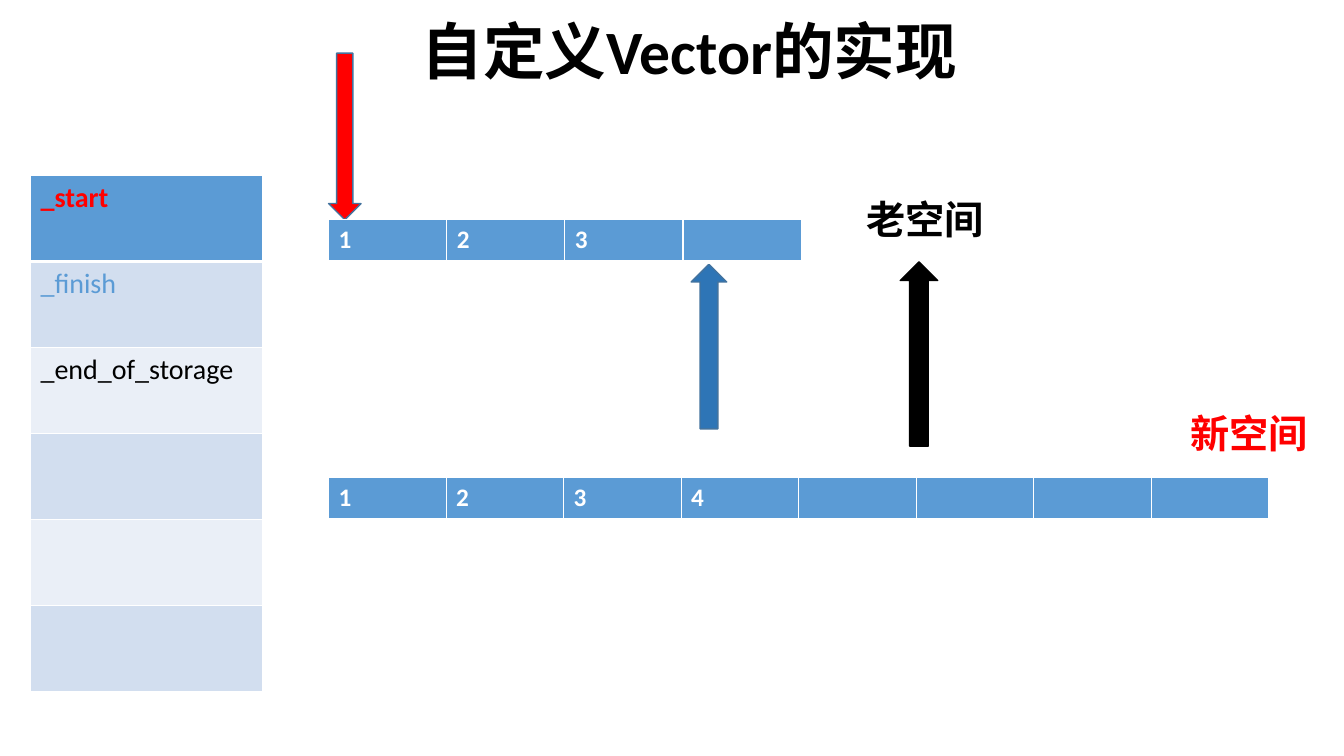
from dataclasses import dataclass

from lxml import etree
from pptx import Presentation
from pptx.dml.color import RGBColor
from pptx.enum import shapes, text
from pptx.oxml import ns
from pptx.util import Pt

WHITE = RGBColor(0xFF, 0xFF, 0xFF)
BLACK = RGBColor(0x00, 0x00, 0x00)
RED = RGBColor(0xFF, 0x00, 0x00)
BLUE = RGBColor(0x5B, 0x9B, 0xD5)
DARK_BLUE = RGBColor(0x2E, 0x75, 0xB6)
OUTLINE_BLUE = RGBColor(0x43, 0x73, 0x9E)
BAND_DARK = RGBColor(0xD2, 0xDE, 0xEF)
BAND_LIGHT = RGBColor(0xEA, 0xEF, 0xF7)


@dataclass
class Area:
    left: float
    top: float
    width: float
    height: float

    def lengths(self) -> list:
        return [Pt(n) for n in (self.left, self.top, self.width, self.height)]


@dataclass
class CellLook:
    label: str
    color: RGBColor
    fill: RGBColor
    bold: bool


@dataclass
class Arrow:
    area: Area
    preset: shapes.MSO_SHAPE
    fill: RGBColor
    outline: RGBColor


@dataclass
class Caption:
    area: Area
    label: str
    color: RGBColor


def format_run(para, size: float, color: RGBColor, bold: bool) -> None:
    for span in para.runs:
        span.font.name = "Calibri"
        span.font.size = Pt(size)
        span.font.bold = bold
        span.font.color.rgb = color


def add_borders(cell, is_header: bool) -> None:
    widths = {"lnL": 1, "lnR": 1}
    if is_header:
        widths["lnT"] = 1
    widths["lnB"] = 3 if is_header else 1
    properties = cell._tc.get_or_add_tcPr()
    for index, (side, width) in enumerate(widths.items()):
        line = etree.Element(ns.qn(f"a:{side}"), w=str(Pt(width)))
        fill = etree.SubElement(line, ns.qn("a:solidFill"))
        etree.SubElement(fill, ns.qn("a:srgbClr"), val=str(WHITE))
        properties.insert(index, line)


def draw_table(page, area: Area, rows: list[list[CellLook]], size: float) -> None:
    frame = page.shapes.add_table(len(rows), len(rows[0]), *area.lengths())
    table = frame.table
    for column in table.columns:
        column.width = Pt(area.width / len(rows[0]))
    for row in table.rows:
        row.height = Pt(area.height / len(rows))
    for row_index, looks in enumerate(rows):
        for column_index, look in enumerate(looks):
            cell = table.cell(row_index, column_index)
            cell.fill.solid()
            cell.fill.fore_color.rgb = look.fill
            cell.text_frame.text = look.label
            format_run(cell.text_frame.paragraphs[0], size, look.color, look.bold)
            add_borders(cell, row_index == 0)


def draw_storage(page, area: Area, values: list[str]) -> None:
    draw_table(page, area, [[CellLook(value, WHITE, BLUE, True) for value in values]], 18)


def draw_arrow(page, arrow: Arrow) -> None:
    shape = page.shapes.add_shape(arrow.preset, *arrow.area.lengths())
    shape.shadow.inherit = False
    shape.fill.solid()
    shape.fill.fore_color.rgb = arrow.fill
    shape.line.color.rgb = arrow.outline
    shape.line.width = Pt(1)


def fill_text(box, caption: Caption, size: float) -> None:
    box.left, box.top, box.width, box.height = caption.area.lengths()
    frame = box.text_frame
    frame.text = caption.label
    frame.word_wrap = True
    frame.auto_size = text.MSO_AUTO_SIZE.SHAPE_TO_FIT_TEXT
    frame.vertical_anchor = text.MSO_ANCHOR.TOP
    para = frame.paragraphs[0]
    para.alignment = text.PP_ALIGN.LEFT
    format_run(para, size, caption.color, True)


POINTER_ROWS = [
    CellLook("_start", RED, BLUE, True),
    CellLook("_finish", BLUE, BAND_DARK, False),
    CellLook("_end_of_storage", BLACK, BAND_LIGHT, False),
    CellLook("", BLACK, BAND_DARK, False),
    CellLook("", BLACK, BAND_LIGHT, False),
    CellLook("", BLACK, BAND_DARK, False),
]
ARROWS = [
    Arrow(Area(234.7, 38, 23.2, 119), shapes.MSO_SHAPE.DOWN_ARROW, RED, OUTLINE_BLUE),
    Arrow(Area(493.7, 188.7, 25.4, 117.6), shapes.MSO_SHAPE.UP_ARROW, DARK_BLUE, OUTLINE_BLUE),
    Arrow(Area(643, 187, 26.8, 131.6), shapes.MSO_SHAPE.UP_ARROW, BLACK, BLACK),
]
TITLE = Caption(Area(293.8, 5.8, 489.6, 60.5), "自定义Vector的实现", BLACK)
CAPTIONS = [
    Caption(Area(612, 136, 236.9, 41), "老空间", BLACK),
    Caption(Area(843, 288.8, 104, 41), "新空间", RED),
]


def main() -> None:
    deck = Presentation()
    deck.slide_width, deck.slide_height = Pt(960), Pt(540)
    page = deck.slides.add_slide(deck.slide_layouts[5])
    fill_text(page.shapes.title, TITLE, 44)
    draw_storage(page, Area(234.7, 341.3, 671.6, 30), ["1", "2", "3", "4", "", "", "", ""])
    draw_table(page, Area(21.8, 125.4, 165.6, 368.6), [[look] for look in POINTER_ROWS], 20)
    for arrow in ARROWS:
        draw_arrow(page, arrow)
    draw_storage(page, Area(234.7, 157, 337.6, 30), ["1", "2", "3", ""])
    for caption in CAPTIONS:
        fill_text(page.shapes.add_textbox(*caption.area.lengths()), caption, 28)
    deck.save("out.pptx")


if __name__ == "__main__":
    main()
